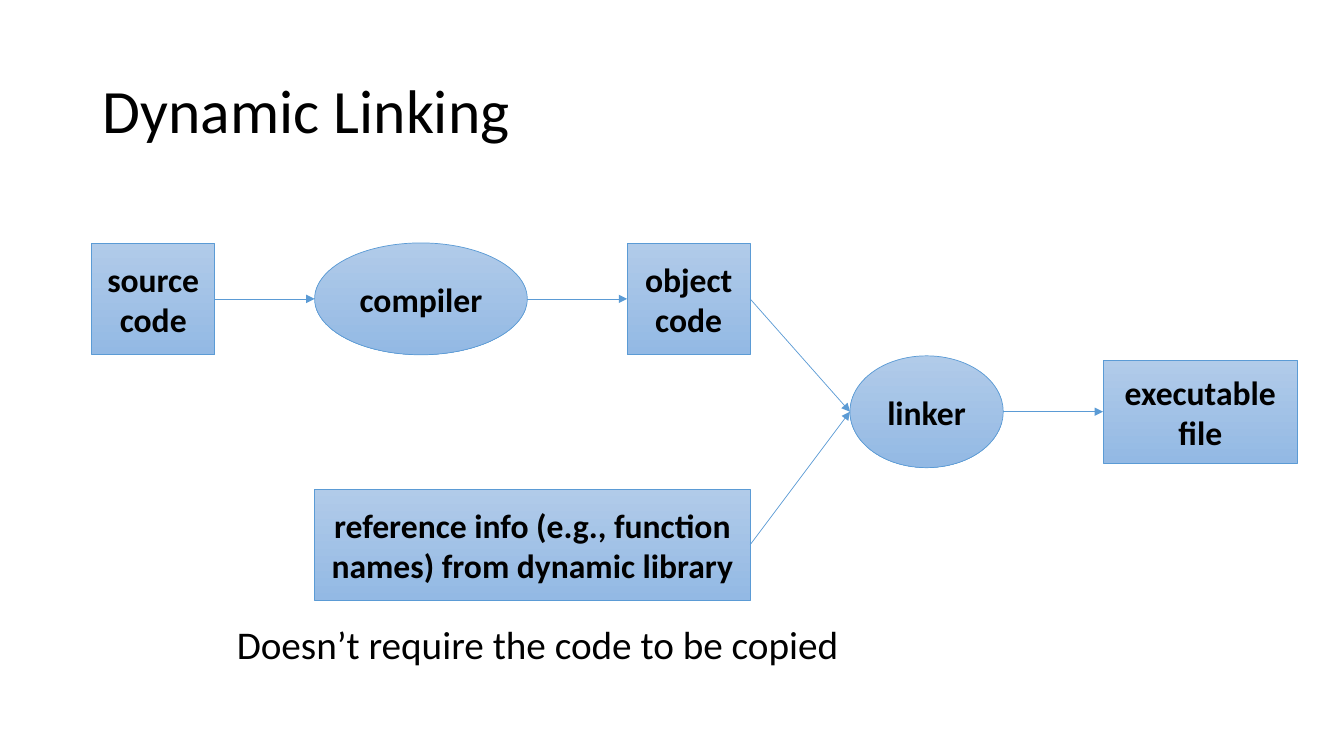
from lxml.etree import SubElement
from pptx import Presentation
from pptx.dml.color import RGBColor
from pptx.enum.shapes import MSO_CONNECTOR as Connector, MSO_SHAPE as Preset
from pptx.enum.text import MSO_ANCHOR as Anchor, PP_ALIGN as Align
from pptx.oxml.ns import qn
from pptx.util import Inches, Pt

BLACK = RGBColor(0x00, 0x00, 0x00)
LINE_BLUE = RGBColor(0x5B, 0x9B, 0xD5)
TOP_BLUE = RGBColor(0xB1, 0xCB, 0xE9)
BOTTOM_BLUE = RGBColor(0x93, 0xB9, 0xE4)
FONT = "Calibri"

TOP, LEFT, RIGHT = 0, 1, 3
GAP = 0.99
NODE_HEIGHT = 1.11


def write(frame, lines, size, align=Align.LEFT, anchor=Anchor.TOP, bold=False):
    frame.word_wrap = True
    frame.vertical_anchor = anchor
    for index, line in enumerate(lines):
        para = frame.add_paragraph() if index else frame.paragraphs[0]
        para.alignment = align
        span = para.add_run()
        span.text = line
        span.font.name = FONT
        span.font.size = Pt(size)
        span.font.bold = bold
        span.font.color.rgb = BLACK


def add_node(page, preset, lines, left, middle, width, height=NODE_HEIGHT):
    """Draw a labelled shape centred vertically on middle."""
    node = page.shapes.add_shape(preset, Inches(left), Inches(middle - height / 2),
                                 Inches(width), Inches(height))
    node.shadow.inherit = False
    node.fill.gradient()
    node.fill.gradient_angle = 270
    for stop, colour in zip(node.fill.gradient_stops, (TOP_BLUE, BOTTOM_BLUE)):
        stop.color.rgb = colour
    node.line.color.rgb = LINE_BLUE
    node.line.width = Pt(0.5)
    write(node.text_frame, lines, 24, Align.CENTER, Anchor.MIDDLE, bold=True)
    return node


def add_arrow(page, source, target):
    """Run from the right side of source to the left side of target."""
    arrow = page.shapes.add_connector(
        Connector.STRAIGHT,
        source.left + source.width, source.top + source.height // 2,
        target.left, target.top + target.height // 2)
    if source.auto_shape_type == Preset.RECTANGLE:
        arrow.begin_connect(source, RIGHT)
    if target.auto_shape_type == Preset.RECTANGLE:
        arrow.end_connect(target, LEFT)
    arrow.line.color.rgb = LINE_BLUE
    arrow.line.width = Pt(0.5)
    SubElement(arrow.line._get_or_add_ln(), qn("a:tailEnd"), type="triangle")
    SubElement(arrow._element.spPr, qn("a:effectLst"))


def draw_title(page, left, top, width, height):
    title = page.shapes.title
    title.left, title.top = Inches(left), Inches(top)
    title.width, title.height = Inches(width), Inches(height)
    write(title.text_frame, ["Dynamic Linking"], 44, anchor=Anchor.MIDDLE)
    title.text_frame.paragraphs[0].line_spacing = 0.9


def draw_linking_flow(page, left, top):
    compile_row = top + NODE_HEIGHT / 2
    link_row = compile_row + 1.12
    library_row = link_row + 1.32
    steps = [
        (Preset.RECTANGLE, ["source", "code"], compile_row, 1.22, NODE_HEIGHT),
        (Preset.OVAL, ["compiler"], compile_row, 2.11, NODE_HEIGHT),
        (Preset.RECTANGLE, ["object", "code"], compile_row, 1.22, NODE_HEIGHT),
        (Preset.OVAL, ["linker"], link_row, 1.52, NODE_HEIGHT),
        (Preset.RECTANGLE, ["executable", "file"], link_row, 1.93, 1.02),
    ]
    nodes = []
    for preset, lines, middle, width, height in steps:
        nodes.append(add_node(page, preset, lines, left, middle, width, height))
        left += width + GAP
    for source, target in zip(nodes, nodes[1:]):
        add_arrow(page, source, target)

    _, compiler, object_code, linker, _ = nodes
    library_width = (object_code.left + object_code.width - compiler.left).inches \
        if hasattr(object_code.left + object_code.width - compiler.left, "inches") \
        else (object_code.left + object_code.width - compiler.left) / Inches(1)
    library = add_node(page, Preset.RECTANGLE,
                       ["reference info (e.g., function names) from dynamic library"],
                       compiler.left.inches, library_row, library_width)
    add_arrow(page, library, linker)


def draw_remark(page, left, top, width, height):
    remark = page.shapes.add_textbox(Inches(left), Inches(top), Inches(width), Inches(height))
    write(remark.text_frame, ["Doesn’t require the code to be copied"], 28)


def main():
    deck = Presentation()
    deck.slide_width, deck.slide_height = Inches(13.33), Inches(7.5)
    page = deck.slides.add_slide(deck.slide_layouts[5])
    draw_title(page, 0.92, 0.4, 11.5, 1.45)
    draw_linking_flow(page, 0.91, 2.41)
    draw_remark(page, 2.25, 6.1, 6.18, 0.61)
    deck.save("out.pptx")


if __name__ == "__main__":
    main()
